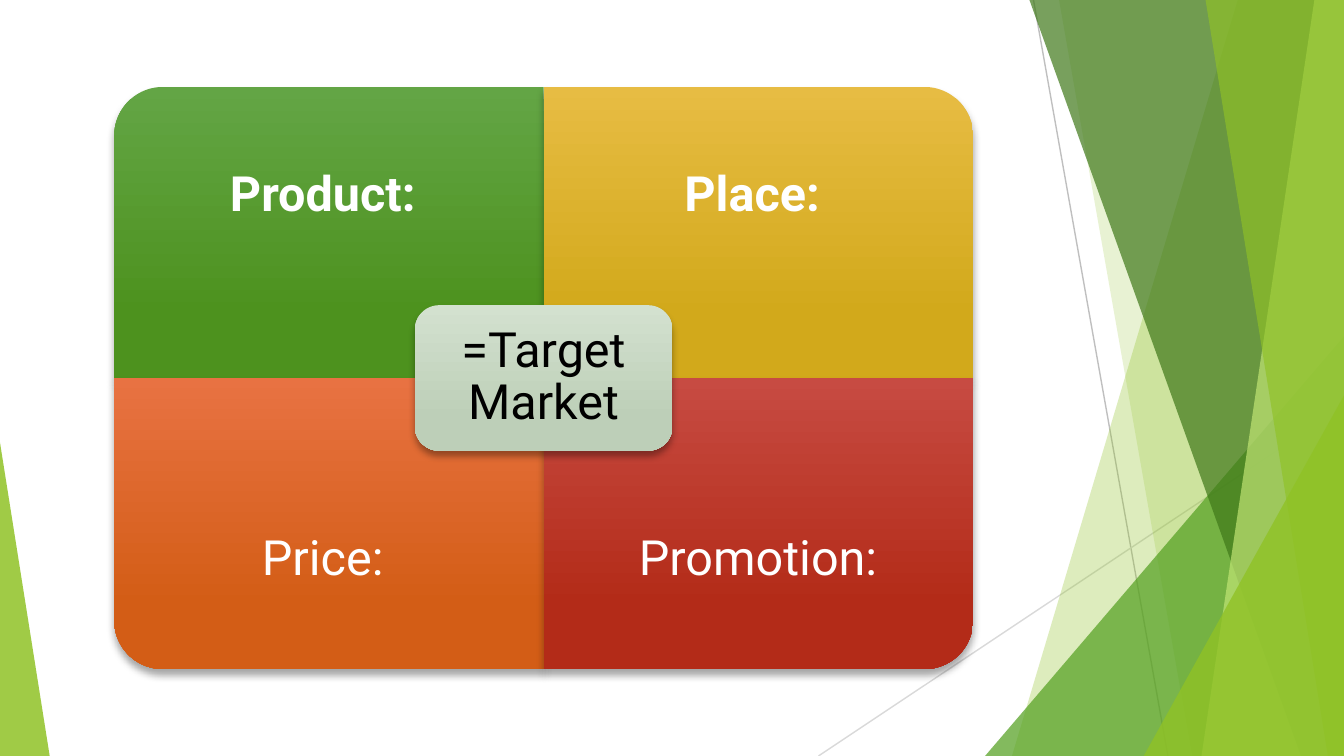
"""Builds the marketing mix slide: four quadrants around a target market."""
from lxml import etree
from pptx import Presentation
from pptx import util as u
from pptx.dml.color import RGBColor
from pptx.enum import shapes, text
from pptx.oxml.ns import qn

WIDE, HIGH = u.Inches(10), u.Inches(5.625)
FONT, SIZE = "Roboto", u.Pt(26)
HUES = {
    "lime": "90C226", "green": "54A021", "dark": "3F7819", "pale": "C0E474",
    "gray": "BFBFBF", "mist": "D9D9D9", "white": "FFFFFF", "black": "000000",
    "product": ("63A545", "4D921E"), "place": ("E7BC43", "D2A91B"),
    "price": ("E87242", "D35D16"), "promo": ("C74B42", "B32B18"),
    "target": ("D3E1CF", "BDCFB8"),
}
KIND = shapes.MSO_SHAPE


def across(pct):
    """Return a percentage of the slide's width."""
    return round(WIDE * pct / 100)


def down(pct):
    """Return a percentage of the slide's height."""
    return round(HIGH * pct / 100)


def area(left, top, wide, high):
    """Return a box given in percentages as slide lengths."""
    return across(left), down(top), across(wide), down(high)


def child(node, tag, **attrs):
    """Add an XML element with attributes below a node."""
    item = etree.SubElement(node, qn(tag))
    for key, val in attrs.items():
        item.set(key, str(val))
    return item


def paint(shape, hue, alpha):
    """Fill a shape with a see-through colour and no outline."""
    shape.shadow.inherit = False
    shape.fill.solid()
    shape.fill.fore_color.rgb = RGBColor.from_string(HUES[hue])
    shape.line.fill.background()
    tint = shape.fill._xPr.find(qn("a:solidFill"))[0]
    child(tint, "a:alpha", val=alpha * 1000)


def ray(slide, start, end, hue):
    """Draw a thin straight line between two points."""
    line = slide.shapes.add_connector(
        shapes.MSO_CONNECTOR.STRAIGHT, across(start[0]), down(start[1]),
        across(end[0]), down(end[1]))
    line.line.color.rgb = RGBColor.from_string(HUES[hue])
    line.line.width = u.Pt(0.75)
    child(line._element.spPr, "a:effectLst")


def band(slide, top, foot, hue, alpha):
    """Draw a slanted band that reaches the right edge."""
    pen = slide.shapes.build_freeform(across(top), 0)
    pen.add_line_segments(
        [(WIDE, 0), (WIDE, HIGH), (across(foot), HIGH)], close=True)
    paint(pen.convert_to_shape(), hue, alpha)


def wedge(slide, box, tip, hue, alpha):
    """Draw a right triangle with its tip at the given side."""
    shape = slide.shapes.add_shape(KIND.ISOSCELES_TRIANGLE, *area(*box))
    shape.adjustments[0] = tip
    paint(shape, hue, alpha)


def card(slide, kind, box, turn, hue):
    """Draw a shaded card with a soft shadow, turned within its box."""
    left, top, wide, high = area(*box)
    if turn % 180:
        left, top = left + (wide - high) // 2, top + (high - wide) // 2
        wide, high = high, wide
    shape = slide.shapes.add_shape(kind, left, top, wide, high)
    shape.rotation = turn
    shape.shadow.inherit = False
    shape.fill.gradient()
    shape.fill.gradient_angle = 270
    for stop, place, tone in zip(shape.fill.gradient_stops, (0, 0.78), HUES[hue]):
        stop.position = place
        stop.color.rgb = RGBColor.from_string(tone)
    shape.line.fill.background()
    props = shape._element.spPr
    props.find(qn("a:gradFill")).set("rotWithShape", "0")
    shade = child(props.find(qn("a:effectLst")), "a:outerShdw", blurRad=u.Pt(4),
                  dist=u.Pt(3), dir=5400000, rotWithShape=0)
    tint = child(shade, "a:srgbClr", val=HUES["black"])
    child(tint, "a:alpha", val=35000)


def label(slide, box, words, hue, pad, bold=False):
    """Write centred words in a box."""
    frame = slide.shapes.add_textbox(*area(*box)).text_frame
    frame.word_wrap = True
    frame.vertical_anchor = text.MSO_ANCHOR.MIDDLE
    frame.margin_left = frame.margin_right = u.Inches(pad)
    frame.margin_top = frame.margin_bottom = u.Inches(pad)
    para = frame.paragraphs[0]
    para.alignment = text.PP_ALIGN.CENTER
    para.line_spacing = 0.9
    run = para.add_run()
    run.text = words
    run.font.name, run.font.size, run.font.bold = FONT, SIZE, bold
    run.font.color.rgb = RGBColor.from_string(HUES[hue])


def decor(slide):
    """Draw the green facets at the slide's edges."""
    ray(slide, (76.9, 0), (86.9, 100), "gray")
    ray(slide, (100, 53.7), (60.9, 100), "mist")
    band(slide, 92.1, 75.3, "lime", 30)
    band(slide, 78.8, 88.7, "lime", 20)
    wedge(slide, (73.3, 44.5, 26.7, 55.5), 1, "green", 72)
    band(slide, 76.6, 96.8, "dark", 70)
    band(slide, 97.8, 89.4, "pale", 70)
    band(slide, 89.7, 98.8, "lime", 65)
    wedge(slide, (85.1, 52.3, 14.9, 47.7), 1, "lime", 80)
    wedge(slide, (0, 58.5, 3.7, 41.5), 0, "lime", 85)


def matrix(slide):
    """Draw the four quadrants and the card in their middle."""
    left, top, wide, high = 8.5, 11.5, 63.9, 77
    col, row = wide / 2, high / 2
    quads = [
        (0, 0, 270, "product", "Product: ", True),
        (1, 0, 0, "place", "Place: ", True),
        (0, 1, 180, "price", "Price: ", False),
        (1, 1, 90, "promo", "Promotion:", False),
    ]
    for i, j, turn, hue, words, bold in quads:
        x, y = left + i * col, top + j * row
        card(slide, KIND.ROUND_1_RECTANGLE, (x, y, col, row), turn, hue)
        label(slide, (x, y + j * row / 4, col, row * 3 / 4), words, "white", 0.2, bold)
    wide, high = col * 0.6, row / 2
    box = (left + col - wide / 2, top + row - high / 2, wide, high)
    card(slide, KIND.ROUNDED_RECTANGLE, box, 0, "target")
    label(slide, box, "=Target Market", "black", 0.16)


def main():
    """Build and save the slide."""
    deck = Presentation()
    deck.slide_width, deck.slide_height = WIDE, HIGH
    slide = deck.slides.add_slide(deck.slide_layouts[6])
    decor(slide)
    matrix(slide)
    deck.save("out.pptx")


if __name__ == "__main__":
    main()
